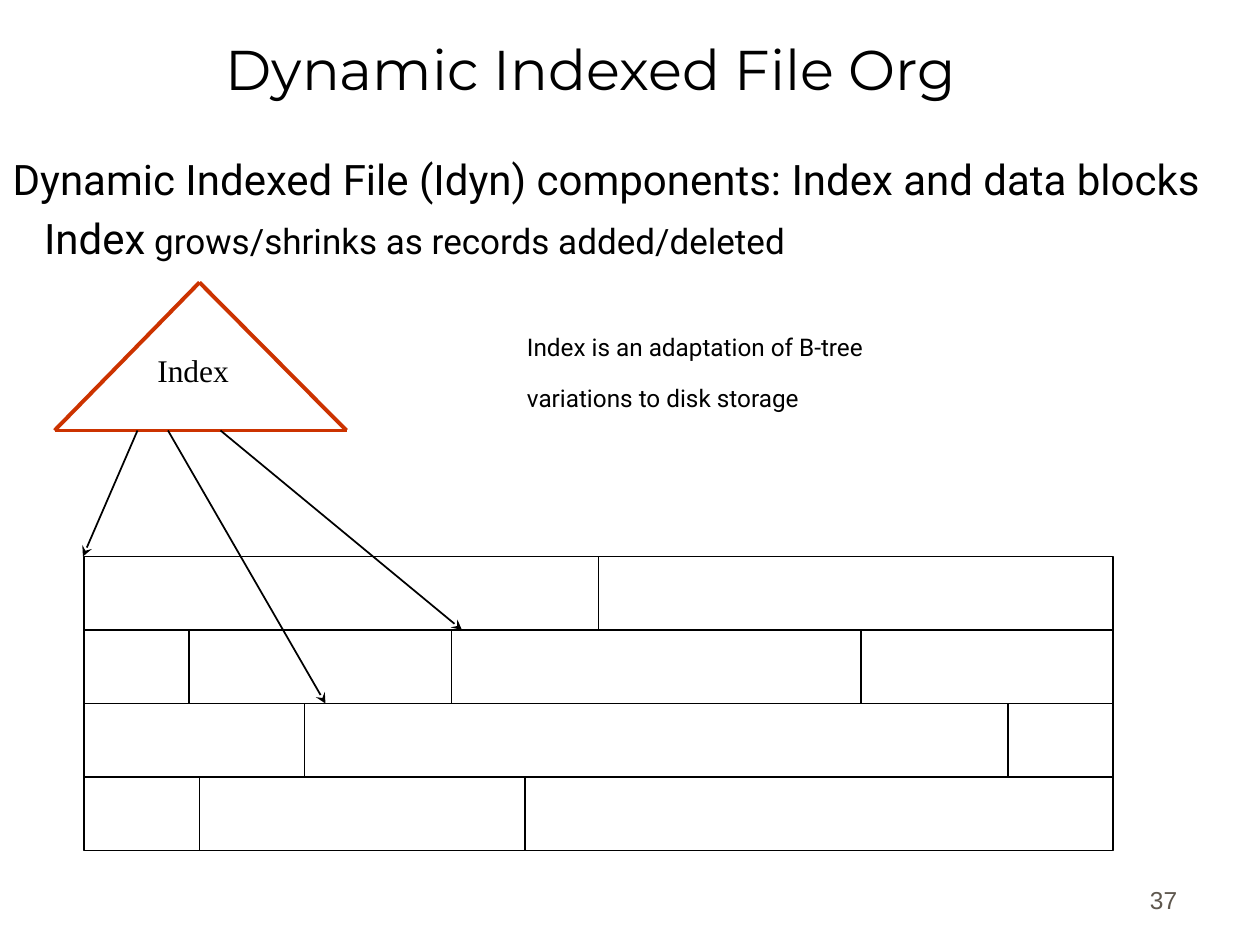
from lxml.etree import SubElement
from pptx import Presentation
from pptx.dml.color import RGBColor
from pptx.enum.shapes import MSO_CONNECTOR, MSO_SHAPE
from pptx.enum.text import MSO_ANCHOR, MSO_AUTO_SIZE, PP_ALIGN
from pptx.oxml.ns import qn
from pptx.util import Inches, Pt

INK = {"text": "000000", "index": "CC3300", "page": "5E574E"}

deck = Presentation()
deck.slide_width, deck.slide_height = Inches(10), Inches(7.5)
slide = deck.slides.add_slide(deck.slide_layouts[1])
shapes = slide.shapes
unit = deck.slide_width / 120  # grid of 120 columns by 90 rows


def write(para, text, size=24, face="Roboto", color="text", align=PP_ALIGN.LEFT, base=0):
    """Add a formatted run to a paragraph."""
    para.alignment = align
    run = para.add_run()
    run.text = text
    run.font.size, run.font.name = Pt(size), face
    run.font.color.rgb = RGBColor.from_string(INK[color])
    if base:
        run.font._element.set("baseline", str(base * 1000))


def draw(start, end, color="text", width=1, arrow=False):
    """Draw a line between two grid points."""
    ends = [int(n * unit) for n in (*start, *end)]
    line = shapes.add_connector(MSO_CONNECTOR.STRAIGHT, *ends)
    line.line.color.rgb = RGBColor.from_string(INK[color])
    line.line.width = Pt(width)
    if arrow:
        SubElement(line.line._get_or_add_ln(), qn("a:tailEnd"), type="stealth")
    SubElement(line._element.spPr, qn("a:effectLst"))


# Title and body placeholders
title, body = shapes.title, slide.placeholders[1]
for holder, place in ((title, (5.3, 3, 102, 7)), (body, (0, 14, 120, 73))):
    holder.left, holder.top, holder.width, holder.height = [int(n * unit) for n in place]
    holder.text_frame.auto_size = MSO_AUTO_SIZE.NONE
title.text_frame.vertical_anchor = MSO_ANCHOR.MIDDLE
write(title.text_frame.paragraphs[0], "Dynamic Indexed File Org",
      size=32, face="Montserrat", align=PP_ALIGN.CENTER)

head = body.text_frame.paragraphs[0]
sub = body.text_frame.add_paragraph()
for para, left in ((head, 0), (sub, 3)):
    props = para._p.get_or_add_pPr()
    props.set("marL", str(int(left * unit)))
    props.set("indent", "0")
    SubElement(props, qn("a:buNone"))
head.space_before, sub.space_before = Pt(0), Pt(5)
write(head, "Dynamic Indexed File (Idyn) components: Index and data blocks")
write(sub, "Index")
write(sub, " grows/shrinks as records added/deleted", size=20)

# Data blocks: frame, row lines, then the cuts in each row
left, top, wide, step = 8, 53, 98, 7
cuts = [[57], [18, 43, 82], [29, 96], [19, 50]]
frame = shapes.add_shape(MSO_SHAPE.RECTANGLE, *[
    int(n * unit) for n in (left, top, wide, step * len(cuts))])
frame.shadow.inherit = False
frame.fill.background()
frame.line.color.rgb = RGBColor.from_string(INK["text"])
frame.line.width = Pt(1)
for row, marks in enumerate(cuts):
    y = top + row * step
    if row:
        draw((left, y), (left + wide, y))
    for x in marks:
        draw((x, y), (x, y + step))

# Index triangle
peak, west, east = (19, 26.9), (5.2, 41), (33, 41)
for start, end in ((west, east), (east, peak), (west, peak)):
    draw(start, end, color="index", width=2.25)

# Pointers from the index to the blocks
for start, end in (((13.1, 41), (7.9, 53)), ((16, 41), (31, 67)), ((21, 41), (44, 60))):
    draw(start, end, arrow=True)

# Index label, side note and page number
labels = [
    ("Index", (13.8, 32.8, 10, 4.8), MSO_ANCHOR.TOP,
     dict(size=18, face="Times New Roman")),
    ("Index is an adaptation of B-tree variations to disk storage",
     (49, 29, 45, 11), MSO_ANCHOR.TOP, dict(base=-10)),
    ("37", (88.3, 81.7, 25, 6), MSO_ANCHOR.BOTTOM,
     dict(size=14, face="Arial", color="page", align=PP_ALIGN.RIGHT)),
]
for text, place, anchor, style in labels:
    box = shapes.add_textbox(*[int(n * unit) for n in place]).text_frame
    box.word_wrap = True
    box.vertical_anchor = anchor
    write(box.paragraphs[0], text, **style)

deck.save("out.pptx")
